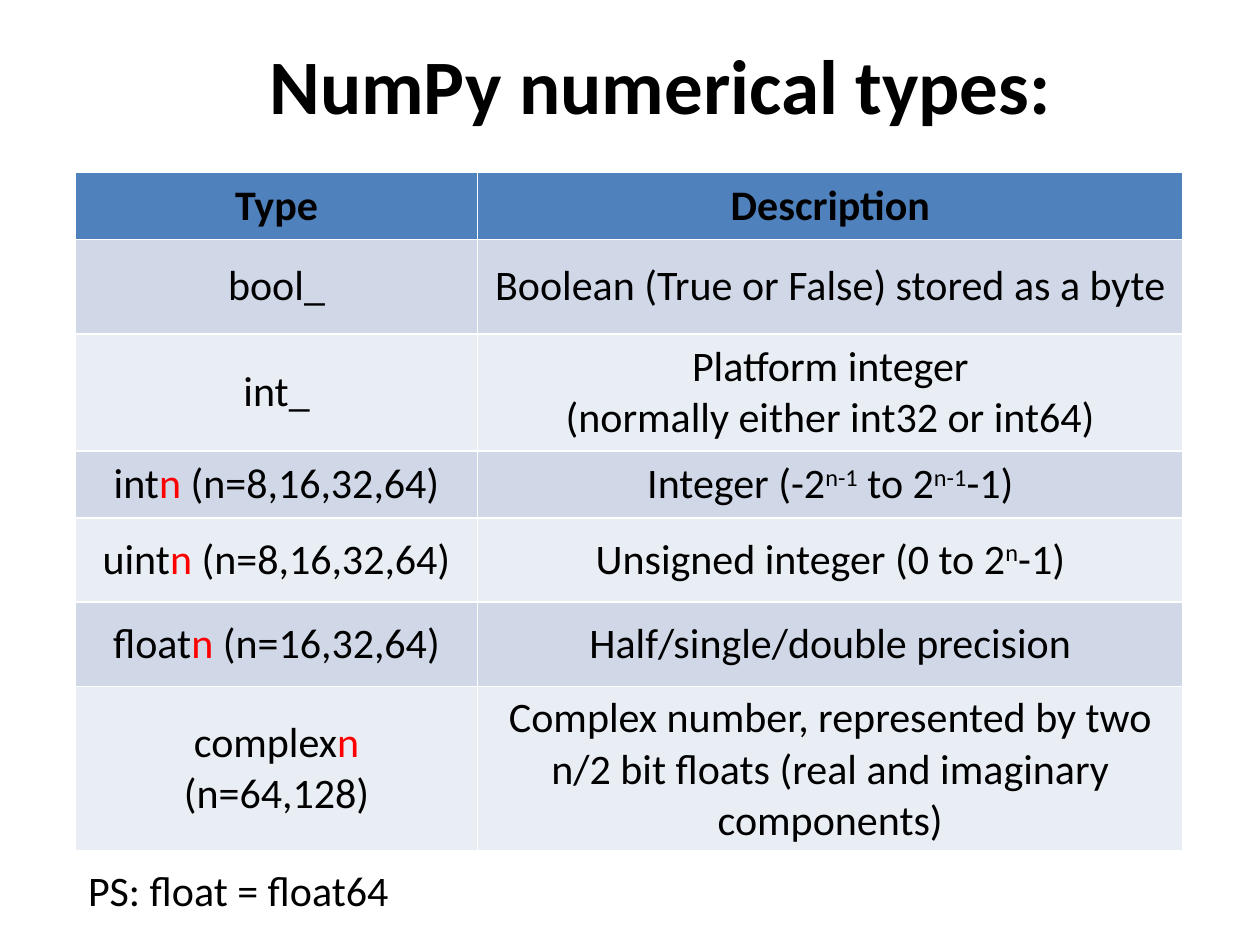
"""Build a slide with a table of the NumPy numerical types."""
from pptx import Presentation
from pptx.dml.color import RGBColor
from pptx.enum.text import MSO_ANCHOR, MSO_AUTO_SIZE, PP_ALIGN
from pptx.util import Inches, Pt

CENTER = PP_ALIGN.CENTER
MIDDLE = MSO_ANCHOR.MIDDLE
GROW = MSO_AUTO_SIZE.SHAPE_TO_FIT_TEXT

PLAIN, RED, SUPER = "plain", "red", "super"
N = ("n", RED)

COLUMN_WIDTHS = [3.19, 5.6]
ROW_HEIGHTS = [0.53, 0.75, 0.93, 0.53, 0.67, 0.67, 1.3]
ROWS = [
    ([["Type"]], [["Description"]]),
    ([["bool_"]], [["Boolean (True or False) stored as a byte"]]),
    ([["int_"]], [["Platform integer"], ["(normally either int32 or int64)"]]),
    ([["int", N, " (n=8,16,32,64)"]],
     [["Integer (-2", ("n-1", SUPER), " to 2", ("n-1", SUPER), "-1)"]]),
    ([["uint", N, " (n=8,16,32,64)"]],
     [["Unsigned integer (0 to 2", ("n", SUPER), "-1)"]]),
    ([["float", N, " (n=16,32,64)"]], [["Half/single/double precision"]]),
    ([["complex", N], ["(n=64,128)"]],
     [["Complex number, represented by two n/2 bit floats "
       "(real and imaginary components)"]]),
]


def color(value):
    return RGBColor.from_string(value)


class SlideBuilder:
    """Hold the style and the current slide."""

    font = "Calibri"
    ink = "000000"
    accent = "FF0000"
    header_fill = "4F81BD"
    band_fills = ["E9EDF4", "D0D8E8"]

    def __init__(self, slide):
        self.slide = slide

    def add_paragraphs(self, frame, paragraphs, size=24, bold=False, align=None):
        for index, parts in enumerate(paragraphs):
            para = frame.add_paragraph() if index else frame.paragraphs[0]
            para.alignment = align
            for part in parts:
                text, kind = (part, PLAIN) if isinstance(part, str) else part
                span = para.add_run()
                span.text = text
                span.font.name = self.font
                span.font.size = Pt(size)
                span.font.bold = bold
                span.font.color.rgb = color(self.accent if kind == RED else self.ink)
                if kind == SUPER:
                    span._r.get_or_add_rPr().set("baseline", "30000")

    def add_text(self, left, top, width, height, words, **style):
        box = self.slide.shapes.add_textbox(
            Inches(left), Inches(top), Inches(width), Inches(height))
        box.text_frame.word_wrap = False
        box.text_frame.auto_size = GROW
        self.add_paragraphs(box.text_frame, [[words]], **style)

    def add_table(self, left, top, widths, heights, rows):
        table = self.slide.shapes.add_table(
            len(rows), len(widths), Inches(left), Inches(top),
            Inches(sum(widths)), Inches(sum(heights))).table
        for column, width in zip(table.columns, widths):
            column.width = Inches(width)
        for index, (row, height) in enumerate(zip(table.rows, heights)):
            row.height = Inches(height)
            fill = self.band_fills[index % 2] if index else self.header_fill
            for cell, paragraphs in zip(row.cells, rows[index]):
                cell.fill.solid()
                cell.fill.fore_color.rgb = color(fill)
                cell.vertical_anchor = MIDDLE
                self.add_paragraphs(
                    cell.text_frame, paragraphs, bold=index == 0, align=CENTER)


def main():
    deck = Presentation()
    deck.slide_width, deck.slide_height = Inches(10), Inches(7.5)
    page = SlideBuilder(deck.slides.add_slide(deck.slide_layouts[6]))
    page.add_text(2.04, 0.25, 6.46, 0.84, "NumPy numerical types:", size=44, bold=True)
    page.add_table(0.6, 1.37, COLUMN_WIDTHS, ROW_HEIGHTS, ROWS)
    page.add_text(0.6, 6.81, 2.61, 0.5, "PS: float = float64")
    deck.save("out.pptx")


if __name__ == "__main__":
    main()
